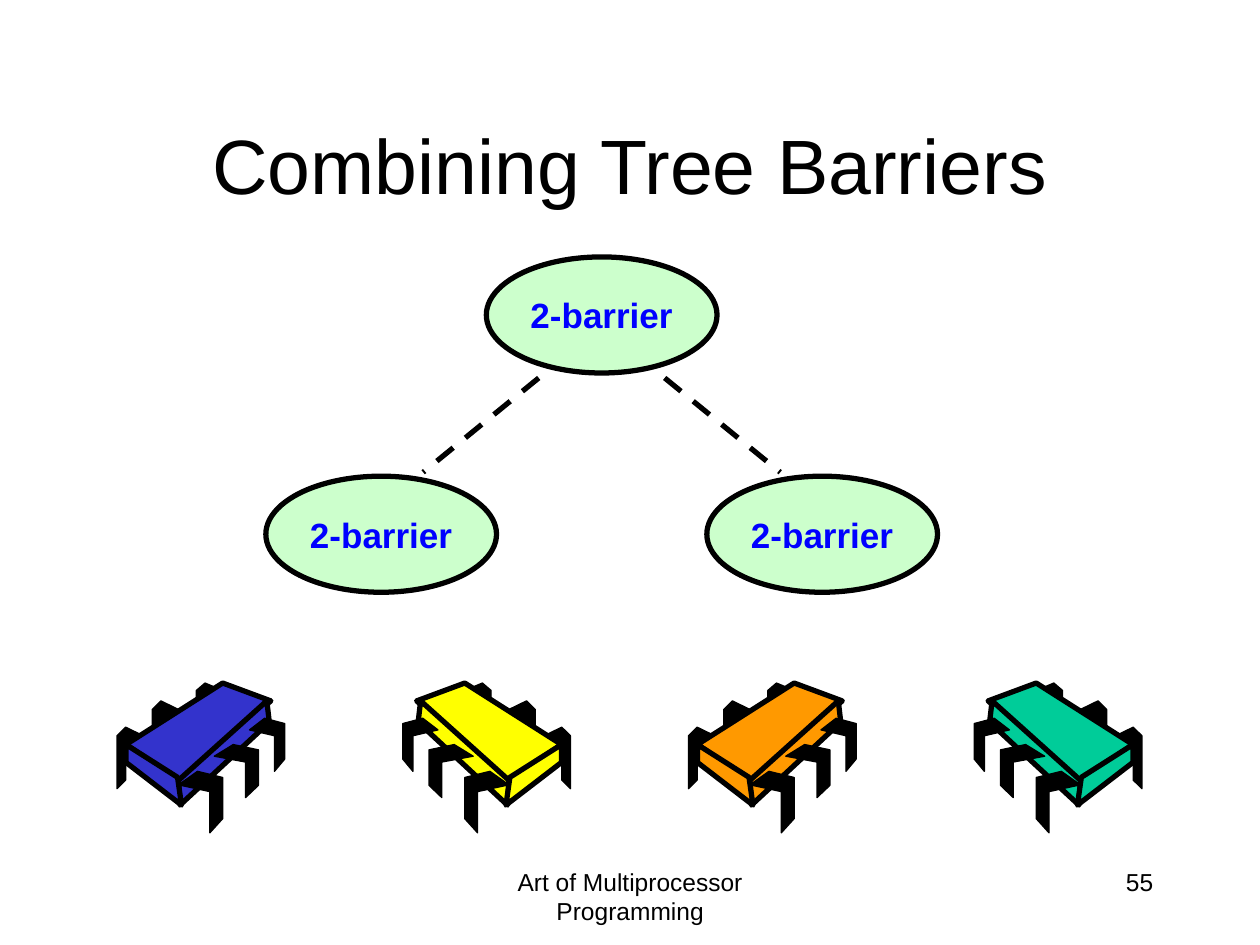
from dataclasses import dataclass

from lxml.etree import SubElement
from pptx import Presentation
from pptx.dml.color import RGBColor
from pptx.enum.dml import MSO_LINE
from pptx.enum.shapes import MSO_CONNECTOR, MSO_SHAPE
from pptx.enum.text import MSO_ANCHOR, MSO_AUTO_SIZE, PP_ALIGN
from pptx.oxml.ns import qn
from pptx.util import Cm, Pt


@dataclass(frozen=True)
class Theme:
    font: str = "Arial"
    ink: str = "000000"
    label: str = "0000FF"
    node: str = "CCFFCC"
    chips: tuple = ("3333CC", "FFFF00", "FF9900", "00CC99")
    title_size: float = 44
    label_size: float = 20
    footer_size: float = 14
    thick: float = 3
    thin: float = 0.75


THEME = Theme()

REAR_LEG = [(1, 0.14), (0.33, 0), (0, 0.14), (0, 1), (0.33, 0.86), (0.33, 0.29), (1, 0.43)]
FRONT_LEG = [(0.43, 0), (0, 0.22), (0.71, 0.33), (0.71, 1), (1, 0.77), (1, 0.1)]
REAR_BOXES = [(0, 0.89, 0.53, 1.24), (0.71, 0.36, 0.53, 1.24), (1.6, 0, 0.53, 1.07)]
FRONT_BOXES = [(1.24, 1.78, 0.89, 1.24), (1.96, 1.24, 0.89, 1.07), (2.67, 0.71, 0.71, 1.07)]
FACES = [
    [(2.13, 0), (0.18, 1.24), (1.27, 1.98), (3.1, 0.36)],
    [(3.02, 0.36), (1.24, 1.96), (1.27, 2.46), (3.07, 0.79)],
    [(0.18, 1.24), (0.18, 1.6), (1.3, 2.46), (1.22, 1.9)],
]


def write(tf, text, size, color=THEME.ink, bold=False, align=PP_ALIGN.CENTER,
          anchor=MSO_ANCHOR.TOP, wrap=True):
    tf.word_wrap = wrap
    tf.auto_size = MSO_AUTO_SIZE.NONE
    tf.vertical_anchor = anchor
    p = tf.paragraphs[0]
    p.alignment = align
    r = p.add_run()
    r.text = text
    r.font.name = THEME.font
    r.font.size = Pt(size)
    r.font.bold = bold
    r.font.color.rgb = RGBColor.from_string(color)


def paint(sp, fill, width, line=THEME.ink):
    sp.shadow.inherit = False
    sp.fill.solid()
    sp.fill.fore_color.rgb = RGBColor.from_string(fill)
    sp.line.color.rgb = RGBColor.from_string(line)
    sp.line.width = Pt(width)


def add_title(s, text, left, top, width, height):
    sp = s.shapes.title
    sp.left, sp.top, sp.width, sp.height = map(Cm, (left, top, width, height))
    write(sp.text_frame, text, THEME.title_size, anchor=MSO_ANCHOR.MIDDLE)


def add_footer(s, text, number, left, top, width, height):
    number_width = 5.28
    center_width = 8.05
    parts = [
        (text, left, center_width, PP_ALIGN.CENTER),
        (number, left + width - number_width, number_width, PP_ALIGN.RIGHT),
    ]
    for content, x, w, align in parts:
        sp = s.shapes.add_textbox(Cm(x), Cm(top), Cm(w), Cm(height))
        write(sp.text_frame, content, THEME.footer_size, align=align)


def add_link(s, x1, y1, x2, y2):
    link = s.shapes.add_connector(MSO_CONNECTOR.STRAIGHT, Cm(x1), Cm(y1), Cm(x2), Cm(y2))
    link.line.color.rgb = RGBColor.from_string(THEME.ink)
    link.line.width = Pt(THEME.thick)
    link.line.dash_style = MSO_LINE.DASH
    SubElement(link._element.spPr, qn("a:effectLst"))


def add_tree(s, text, left, top, width, height):
    node_w, node_h = 4.65, 2.34
    center = left + width / 2
    for side in (1, -1):
        add_link(s, center + side * 1.27, top + 2.44, center + side * 3.6, top + 4.34)
    bottom = top + height - node_h
    nodes = [(center - node_w / 2, top), (left, bottom), (left + width - node_w, bottom)]
    for x, y in nodes:
        sp = s.shapes.add_shape(MSO_SHAPE.OVAL, Cm(x), Cm(y), Cm(node_w), Cm(node_h))
        paint(sp, THEME.node, THEME.thick)
        write(sp.text_frame, text, THEME.label_size, color=THEME.label, bold=True,
              anchor=MSO_ANCHOR.MIDDLE, wrap=False)


def fit(outline, box):
    x, y, w, h = box
    return [(x + u * w, y + v * h) for u, v in outline]


def add_chip(s, color, left, top, width, mirrored):
    parts = [(fit(REAR_LEG, box), THEME.ink, THEME.thin) for box in REAR_BOXES]
    parts += [(face, color, THEME.thick) for face in FACES]
    parts += [(fit(FRONT_LEG, box), THEME.ink, THEME.thin) for box in FRONT_BOXES]
    for outline, fill, line_width in parts:
        points = [(Cm(left + (width - x if mirrored else x)), Cm(top + y)) for x, y in outline]
        builder = s.shapes.build_freeform(*points[0])
        builder.add_line_segments(points[1:], close=True)
        paint(builder.convert_to_shape(), fill, line_width)


def add_chip_row(s, left, top, width):
    chip_w = 3.38
    pitch = (width - chip_w) / (len(THEME.chips) - 1)
    for i, color in enumerate(THEME.chips):
        add_chip(s, color, left + i * pitch, top, chip_w, mirrored=i % 2 == 1)


def main():
    prs = Presentation()
    prs.slide_width, prs.slide_height = Cm(25.4), Cm(19.05)
    s = prs.slides.add_slide(prs.slide_layouts[5])
    add_title(s, "Combining Tree Barriers", 1.9, 1.7, 21.6, 3.18)
    add_tree(s, "2-barrier", 5.36, 5.18, 13.54, 6.76)
    add_chip_row(s, 2.36, 13.77, 20.66)
    add_footer(s, "Art of Multiprocessor Programming", "55", 8.68, 17.35, 14.82, 1.27)
    prs.save("out.pptx")


if __name__ == "__main__":
    main()
